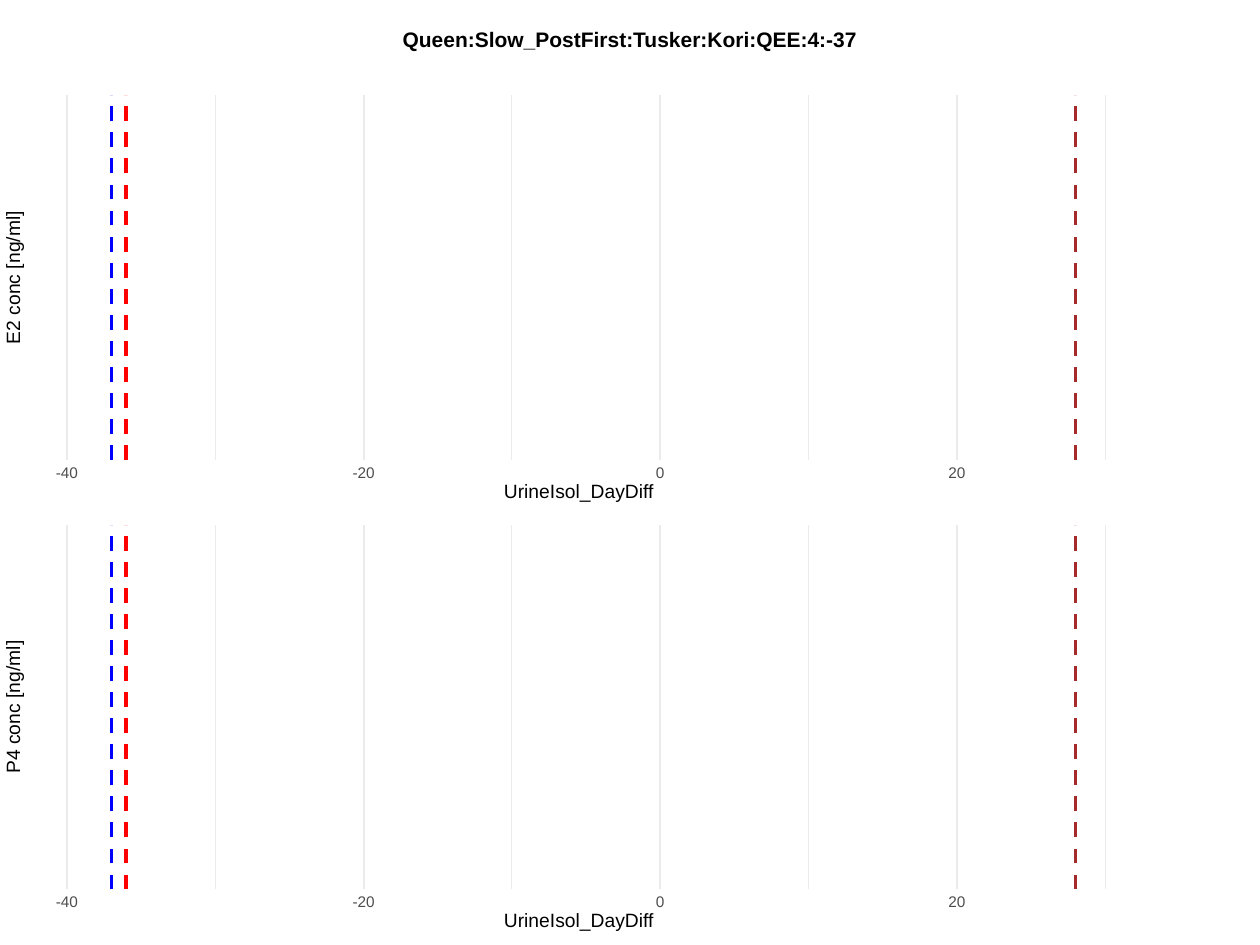
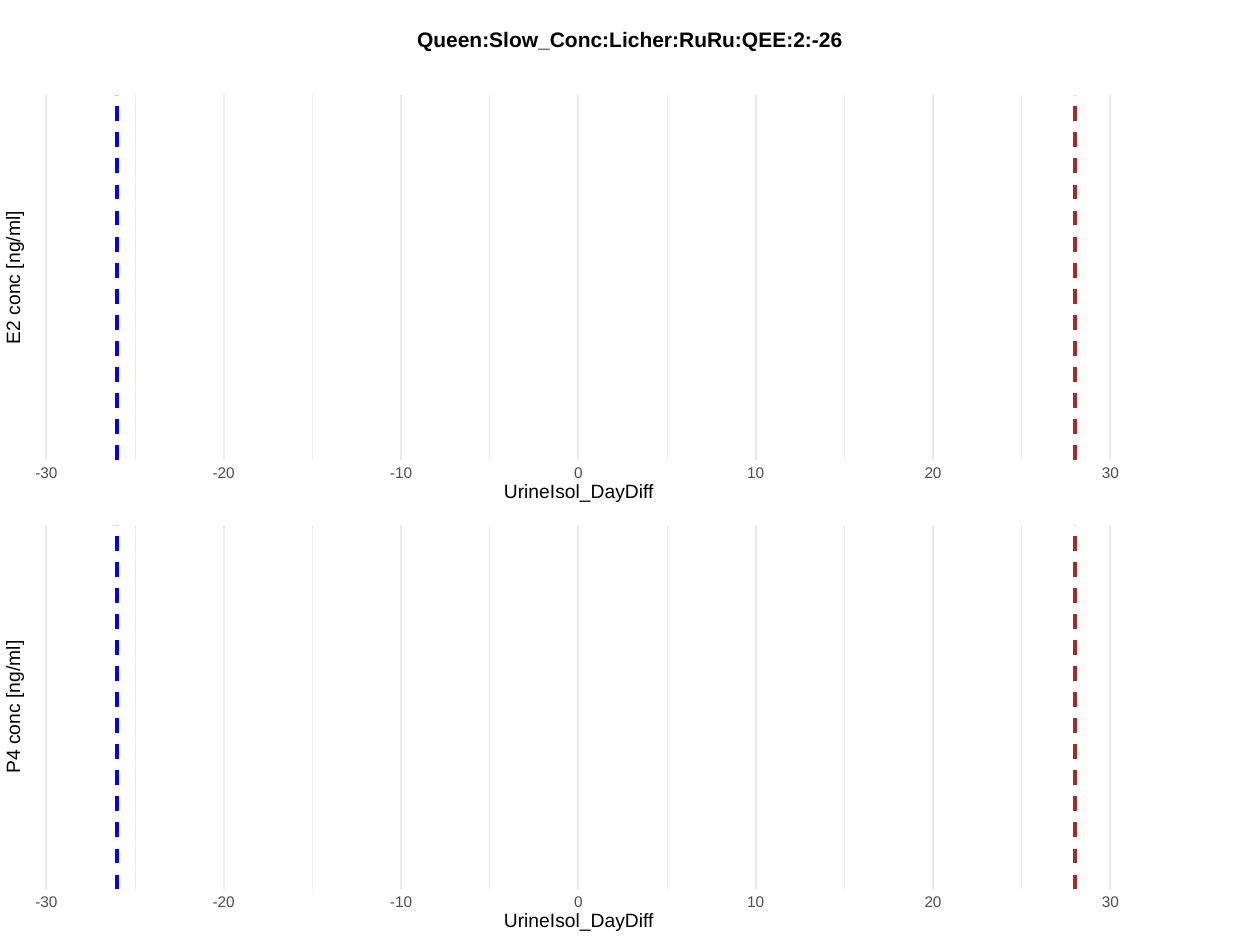
from typing import NamedTuple

from lxml.etree import SubElement
from pptx import Presentation
from pptx.dml.color import RGBColor
from pptx.enum.dml import MSO_LINE_DASH_STYLE as Dash
from pptx.enum.shapes import MSO_CONNECTOR as Connector, MSO_SHAPE as Shape
from pptx.enum.text import MSO_ANCHOR as Anchor, PP_ALIGN as Align
from pptx.oxml.ns import qn
from pptx.slide import Slide
from pptx.util import Cm, Pt

WHITE = RGBColor(0xFF, 0xFF, 0xFF)
BLACK = RGBColor(0x00, 0x00, 0x00)
TICK_GREY = RGBColor(0x4D, 0x4D, 0x4D)
GRID_GREY = RGBColor(0xEB, 0xEB, 0xEB)
RED = RGBColor(0xFF, 0x00, 0x00)
BLUE = RGBColor(0x00, 0x00, 0xFF)
BROWN = RGBColor(0xA5, 0x2A, 0x2A)

FONT = "Arial"
SLIDE_W, SLIDE_H = 25.4, 19.05
PANEL_TOP, PANEL_H, PANEL_PITCH = 1.92, 7.35, 8.66
PANEL_CENTER_X = 11.67
X_TITLE = "UrineIsol_DayDiff"
Y_TITLES = ("E2 conc [ng/ml]", "P4 conc [ng/ml]")


class TextStyle(NamedTuple):
    """Size, colour, weight and box height of a label."""
    size: float
    color: RGBColor
    height: float
    bold: bool = False


class LineStyle(NamedTuple):
    """Colour, width and dash of a vertical line."""
    color: RGBColor
    width: float
    dashed: bool = False


class Marker(NamedTuple):
    """A dashed event line at a day."""
    day: int
    color: RGBColor


class Cycle(NamedTuple):
    """One slide: its title, day scale, grid and event markers."""
    title: str
    title_width: float
    zero_x: float
    cm_per_twenty_days: float
    minor_days: range
    major_days: range
    markers: tuple[Marker, ...]

    def x(self, day: int) -> float:
        """Return the horizontal place of a day in cm."""
        return self.zero_x + day / 20 * self.cm_per_twenty_days


TITLE = TextStyle(12, BLACK, 0.38, bold=True)
AXIS_TITLE = TextStyle(11, BLACK, 0.36)
TICK = TextStyle(8.8, TICK_GREY, 0.23)
MINOR = LineStyle(GRID_GREY, 0.53)
MAJOR = LineStyle(GRID_GREY, 1.07)

CYCLES = (
    Cycle("Queen:Slow_PostFirst:Tusker:Kori:QEE:4:-37", 9.3, 13.31, 5.98,
          range(-30, 31, 20), range(-40, 21, 20),
          (Marker(-36, RED), Marker(-37, BLUE), Marker(28, BROWN))),
    Cycle("Queen:Slow_Conc:Licher:RuRu:QEE:2:-26", 8.7, 11.66, 7.15,
          range(-25, 26, 10), range(-30, 31, 10),
          (Marker(-26, RED), Marker(-26, BLUE), Marker(28, BROWN))),
)


def add_background(s: Slide) -> None:
    """Cover the slide with a white rectangle."""
    sp = s.shapes.add_shape(Shape.RECTANGLE, 0, 0, Cm(SLIDE_W), Cm(SLIDE_H))
    sp.shadow.inherit = False
    sp.fill.solid()
    sp.fill.fore_color.rgb = WHITE
    sp.line.color.rgb = WHITE
    sp.line.width = Pt(0.75)


def add_label(s: Slide, text: str, x: float, y: float, width: float,
              style: TextStyle, rotation: int = 0) -> None:
    """Write one line of text centred on a point."""
    sp = s.shapes.add_textbox(Cm(x - width / 2), Cm(y - style.height / 2),
                              Cm(width), Cm(style.height))
    sp.rotation = rotation
    tf = sp.text_frame
    tf.margin_left = tf.margin_right = tf.margin_top = tf.margin_bottom = 0
    tf.vertical_anchor = Anchor.MIDDLE
    tf.word_wrap = False
    p = tf.paragraphs[0]
    p.text = text
    p.alignment = Align.CENTER
    p.line_spacing = Pt(style.size)
    p.font.name = FONT
    p.font.size = Pt(style.size)
    p.font.bold = style.bold
    p.font.color.rgb = style.color


def add_vertical(s: Slide, x: float, top: float, style: LineStyle) -> None:
    """Draw a line from the bottom to the top of a panel."""
    line = s.shapes.add_connector(Connector.STRAIGHT, Cm(x), Cm(top + PANEL_H),
                                  Cm(x), Cm(top))
    line.line.color.rgb = style.color
    line.line.width = Pt(style.width)
    if style.dashed:
        line.line.dash_style = Dash.DASH
    SubElement(line._element.spPr, qn("a:effectLst"))


def add_panel(s: Slide, cycle: Cycle, top: float, y_title: str) -> None:
    """Draw one panel with its grid, markers and axis labels."""
    for day in cycle.minor_days:
        add_vertical(s, cycle.x(day), top, MINOR)
    for day in cycle.major_days:
        add_vertical(s, cycle.x(day), top, MAJOR)
    for marker in cycle.markers:
        add_vertical(s, cycle.x(marker.day), top,
                     LineStyle(marker.color, 2.13, dashed=True))
    for day in cycle.major_days:
        add_label(s, str(day), cycle.x(day), top + 7.63, 0.5, TICK)
    add_label(s, X_TITLE, PANEL_CENTER_X, top + 8.01, 3.2, AXIS_TITLE)
    add_label(s, y_title, 0.29, top + PANEL_H / 2, 2.9, AXIS_TITLE, 270)


def main() -> None:
    """Build and save the presentation."""
    prs = Presentation()
    prs.slide_width, prs.slide_height = Cm(SLIDE_W), Cm(SLIDE_H)
    for cycle in CYCLES:
        s = prs.slides.add_slide(prs.slide_layouts[6])
        add_background(s)
        add_label(s, cycle.title, SLIDE_W / 2, 0.83, cycle.title_width, TITLE)
        for i, y_title in enumerate(Y_TITLES):
            add_panel(s, cycle, PANEL_TOP + i * PANEL_PITCH, y_title)
    prs.save("out.pptx")


if __name__ == "__main__":
    main()
